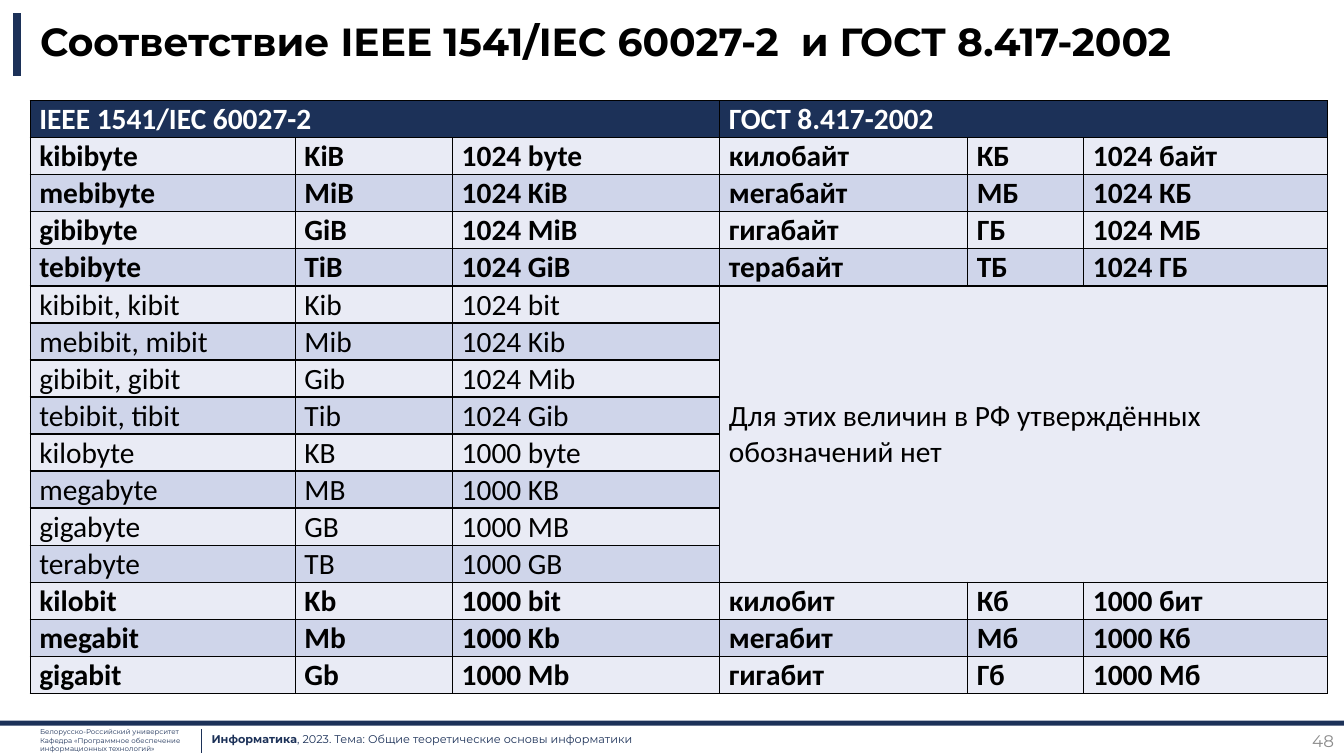
from pptx import Presentation
from pptx.dml.color import RGBColor
from pptx.enum.shapes import MSO_CONNECTOR, MSO_SHAPE
from pptx.enum.text import MSO_ANCHOR, PP_ALIGN
from pptx.oxml import parse_xml
from pptx.oxml.ns import nsdecls
from pptx.util import Inches, Pt

NAVY = RGBColor(0x1C, 0x31, 0x58)
BLACK = RGBColor(0, 0, 0)
WHITE = RGBColor(0xFF, 0xFF, 0xFF)
GREY = RGBColor(0x8C, 0x8C, 0x8C)
BANDS = (RGBColor(0xE9, 0xEB, 0xF5), RGBColor(0xCF, 0xD5, 0xEA))
TOP, MIDDLE = MSO_ANCHOR.TOP, MSO_ANCHOR.MIDDLE
LEFT, RIGHT, JUSTIFY = PP_ALIGN.LEFT, PP_ALIGN.RIGHT, PP_ALIGN.JUSTIFY
HEAD_FONT, TABLE_FONT = "Montserrat", "Calibri"

TITLE = "Соответствие IEEE 1541/IEC 60027-2  и ГОСТ 8.417-2002"
DEPARTMENT = ["Белорусско-Российский университет",
              "Кафедра «Программное обеспечение ",
              "информационных технологий»"]
COURSE = "Информатика"
TOPIC = ", 2023. Тема: Общие теоретические основы информатики"
PAGE = "48"

STANDARDS = ("IEEE 1541/IEC 60027-2", "ГОСТ 8.417-2002")
NO_GOST = "Для этих величин в РФ утверждённых обозначений нет"
UNITS = [
    ("kibibyte", "KiB", "1024 byte", "килобайт", "КБ", "1024 байт"),
    ("mebibyte", "MiB", "1024 KiB", "мегабайт", "МБ", "1024 КБ"),
    ("gibibyte", "GiB", "1024 MiB", "гигабайт", "ГБ", "1024 МБ"),
    ("tebibyte", "TiB", "1024 GiB", "терабайт", "ТБ", "1024 ГБ"),
    ("kibibit, kibit", "Kib", "1024 bit"),
    ("mebibit, mibit", "Mib", "1024 Kib"),
    ("gibibit, gibit", "Gib", "1024 Mib"),
    ("tebibit, tibit", "Tib", "1024 Gib"),
    ("kilobyte", "KB", "1000 byte"),
    ("megabyte", "MB", "1000 KB"),
    ("gigabyte", "GB", "1000 MB"),
    ("terabyte", "TB", "1000 GB"),
    ("kilobit", "Kb", "1000 bit", "килобит", "Кб", "1000 бит"),
    ("megabit", "Mb", "1000 Kb", "мегабит", "Мб", "1000 Кб"),
    ("gigabit", "Gb", "1000 Mb", "гигабит", "Гб", "1000 Мб"),
]
COL_WIDTHS = (2.63, 1.56, 2.65, 2.46, 1.15, 2.42)
SLIDE_W, SLIDE_H = 13.33, 7.5
MARGIN, CONTENT_W = 0.3, 12.87
TABLE_TOP, TABLE_H = 1, 5.88


def add_run(p, text, size, color, bold=False, font=HEAD_FONT):
    r = p.add_run()
    r.text = text
    r.font.size, r.font.name, r.font.bold = Pt(size), font, bold
    r.font.color.rgb = color


def add_text(s, box, paragraphs, align=LEFT, anchor=TOP, spacing=None):
    """Each paragraph is a list of (text, size, colour, bold) runs."""
    tf = s.shapes.add_textbox(*map(Inches, box)).text_frame
    tf.word_wrap, tf.vertical_anchor = True, anchor
    for i, runs in enumerate(paragraphs):
        p = tf.paragraphs[0] if i == 0 else tf.add_paragraph()
        p.alignment, p.line_spacing = align, spacing
        for run in runs:
            add_run(p, *run)


def add_upright(s, x, top, bottom, width):
    line = s.shapes.add_connector(MSO_CONNECTOR.STRAIGHT, Inches(x), Inches(top),
                                  Inches(x), Inches(bottom))
    line.line.color.rgb, line.line.width = NAVY, Pt(width)
    line._element.spPr.append(parse_xml(f"<a:effectLst {nsdecls('a')}/>"))


def style_cell(cell, fill):
    cell.margin_left, cell.margin_right = Inches(0.09), Inches(0.01)
    cell.margin_top, cell.margin_bottom = Inches(0.01), 0
    cell.vertical_anchor = MIDDLE
    tcPr = cell._tc.get_or_add_tcPr()
    for side in ("lnL", "lnR", "lnT", "lnB"):
        tcPr.append(parse_xml(
            f'<a:{side} {nsdecls("a")} w="{Pt(1)}"><a:solidFill>'
            f'<a:srgbClr val="{BLACK}"/></a:solidFill></a:{side}>'))
    cell.fill.solid()
    cell.fill.fore_color.rgb = fill


def write_cell(cell, text, color=BLACK, bold=True):
    add_run(cell.text_frame.paragraphs[0], text, 21, color, bold, TABLE_FONT)


def add_units_table(s):
    n_rows, n_cols = len(UNITS) + 1, len(COL_WIDTHS)
    half = n_cols // 2
    table = s.shapes.add_table(n_rows, n_cols, Inches(MARGIN), Inches(TABLE_TOP),
                               Inches(CONTENT_W), Inches(TABLE_H)).table
    for col, width in zip(table.columns, COL_WIDTHS):
        col.width = Inches(width)
    for i, row in enumerate(table.rows):
        row.height = Inches(TABLE_H / n_rows)
        for cell in row.cells:
            style_cell(cell, BANDS[(i - 1) % 2] if i else NAVY)

    for c, standard in zip((0, half), STANDARDS):
        table.cell(0, c).merge(table.cell(0, c + half - 1))
        write_cell(table.cell(0, c), standard, WHITE)
    for i, unit in enumerate(UNITS, 1):
        for c, text in enumerate(unit):
            write_cell(table.cell(i, c), text, bold=len(unit) == n_cols)

    unmatched = [i for i, unit in enumerate(UNITS, 1) if len(unit) == half]
    note = table.cell(unmatched[0], half)
    note.merge(table.cell(unmatched[-1], n_cols - 1))
    write_cell(note, NO_GOST, bold=False)


def main():
    prs = Presentation()
    prs.slide_width, prs.slide_height = Inches(SLIDE_W), Inches(SLIDE_H)
    s = prs.slides.add_slide(prs.slide_layouts[6])

    rule = s.shapes.add_shape(MSO_SHAPE.RECTANGLE, 0, Inches(7.15),
                              prs.slide_width, Inches(0.05))
    rule.shadow.inherit = False
    rule.fill.solid()
    rule.fill.fore_color.rgb = NAVY
    rule.line.fill.background()
    add_text(s, (2, 7.22, 7.84, 0.24),
             [[(COURSE, 8, NAVY, True), (TOPIC, 8, NAVY)]])
    add_text(s, (MARGIN, 7.17, 1.84, 0.35),
             [[(line, 5, NAVY)] for line in DEPARTMENT], JUSTIFY)
    add_upright(s, 2, 7.23, 7.47, 0.5)
    add_upright(s, 0.17, 0.13, 0.75, 6)

    add_text(s, (MARGIN, 0.13, CONTENT_W, 0.61), [[(TITLE, 28, BLACK, True)]],
             anchor=MIDDLE, spacing=0.9)
    add_units_table(s)
    add_text(s, (12.42, 7.2, 0.91, 0.3), [[(PAGE, 12, GREY)]], RIGHT, MIDDLE)
    prs.save("out.pptx")


if __name__ == "__main__":
    main()
